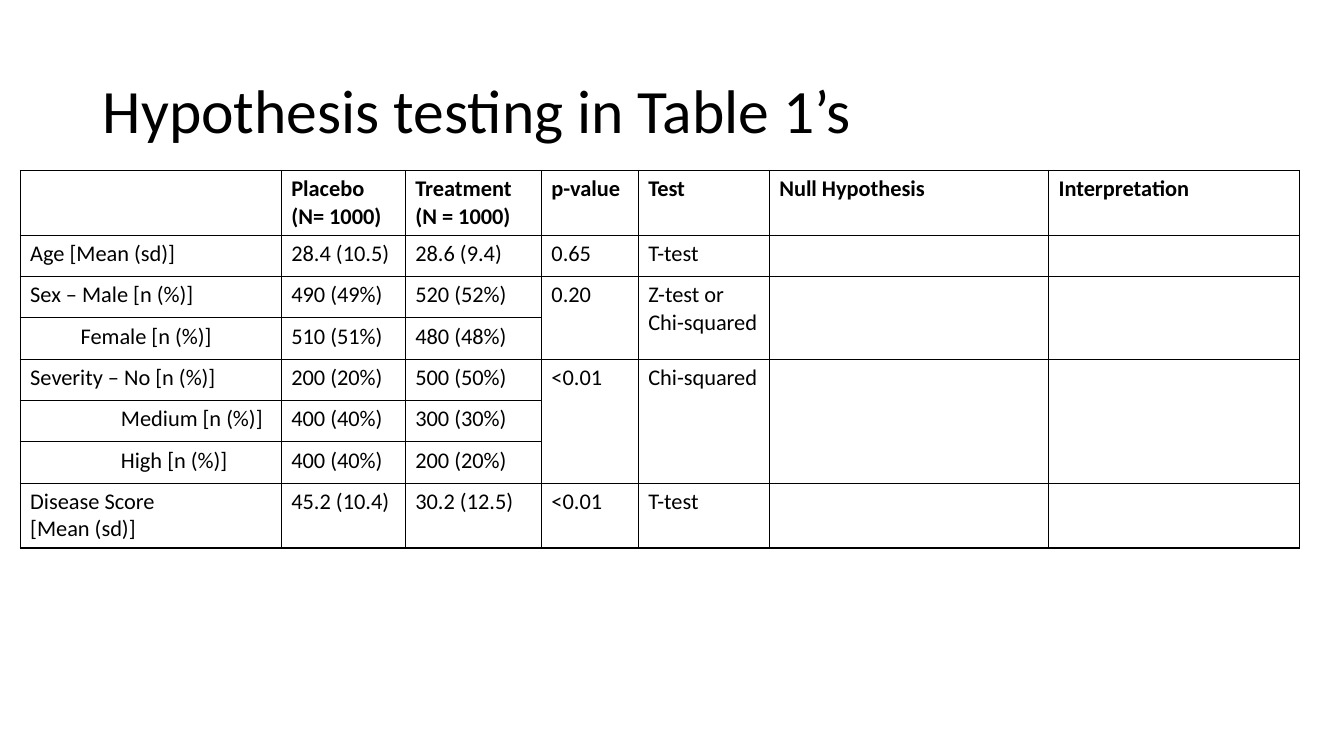
import lxml.etree
import pptx
import pptx.dml.color
import pptx.enum.text
import pptx.oxml.ns
import pptx.util

Inches = pptx.util.Inches
COLORS = {"ink": "000000", "rule": "000000"}
COLUMN_WIDTHS = [2.59, 1.23, 1.35, 0.96, 1.3, 2.77, 2.49]
ROW_HEIGHT = 0.41
BASELINE_ROWS = [
    ["", "Placebo (N= 1000)", "Treatment (N = 1000)", "p-value", "Test",
     "Null Hypothesis", "Interpretation"],
    ["Age [Mean (sd)]", "28.4 (10.5)", "28.6 (9.4)", "0.65", "T-test"],
    ["Sex – Male [n (%)]", "490 (49%)", "520 (52%)", "0.20", "Z-test or\nChi-squared"],
    ["Female [n (%)]", "510 (51%)", "480 (48%)"],
    ["Severity – No [n (%)]", "200 (20%)", "500 (50%)", "<0.01", "Chi-squared"],
    ["Medium [n (%)]", "400 (40%)", "300 (30%)"],
    ["High [n (%)]", "400 (40%)", "200 (20%)"],
    ["Disease Score\n[Mean (sd)]", "45.2 (10.4)", "30.2 (12.5)", "<0.01", "T-test"],
]
LEVEL_INDENTS = {3: 0.5, 5: 0.9, 6: 0.9}
VARIABLE_SPANS = [(2, 3), (4, 6)]
FIRST_SHARED_COLUMN = 3


class SlideBuilder:
    """Holds the text style and the current slide, and adds its elements."""

    def __init__(self, slide, font_name):
        self.slide = slide
        self.font_name = font_name

    def format_paragraph(self, paragraph, size, bold=False):
        """Applies the shared font to one paragraph."""
        values = {"name": self.font_name, "size": pptx.util.Pt(size), "bold": bold}
        for attribute, value in values.items():
            setattr(paragraph.font, attribute, value)
        for run in paragraph.runs:
            for attribute, value in values.items():
                setattr(run.font, attribute, value)
            run.font.color.rgb = pptx.dml.color.RGBColor.from_string(COLORS["ink"])

    def title(self, text, left, top, width, height):
        """Places and formats the title placeholder."""
        heading = self.slide.shapes.title
        box = {"left": left, "top": top, "width": width, "height": height}
        for attribute, value in box.items():
            setattr(heading, attribute, Inches(value))
        frame = heading.text_frame
        frame.text = text
        frame.auto_size = pptx.enum.text.MSO_AUTO_SIZE.NONE
        frame.vertical_anchor = pptx.enum.text.MSO_ANCHOR.MIDDLE
        paragraph = frame.paragraphs[0]
        paragraph.alignment = pptx.enum.text.PP_ALIGN.LEFT
        paragraph.line_spacing = 0.9
        self.format_paragraph(paragraph, 44)

    def border(self, cell, width):
        """Draws a solid rule on all four sides of a cell."""
        properties = cell._tc.get_or_add_tcPr()
        qn = pptx.oxml.ns.qn
        for position, side in enumerate(("a:lnL", "a:lnR", "a:lnT", "a:lnB")):
            rule = lxml.etree.Element(qn(side), w=str(pptx.util.Pt(width)))
            fill = lxml.etree.SubElement(rule, qn("a:solidFill"))
            lxml.etree.SubElement(fill, qn("a:srgbClr"), val=COLORS["rule"])
            properties.insert(position, rule)

    def table(self, rows, left, top, height):
        """Adds the ruled table with merged result cells."""
        frame = self.slide.shapes.add_table(
            len(rows), len(COLUMN_WIDTHS), Inches(left), Inches(top),
            Inches(sum(COLUMN_WIDTHS)), Inches(height))
        baseline = frame.table
        baseline.horz_banding = False
        for column, width in zip(baseline.columns, COLUMN_WIDTHS):
            column.width = Inches(width)
        for row_index, texts in enumerate(rows):
            baseline.rows[row_index].height = Inches(ROW_HEIGHT)
            for column_index in range(len(COLUMN_WIDTHS)):
                cell = baseline.cell(row_index, column_index)
                cell.fill.background()
                self.border(cell, 1)
                if column_index < len(texts):
                    cell.text = texts[column_index]
                for paragraph in cell.text_frame.paragraphs:
                    self.format_paragraph(paragraph, 16, bold=row_index == 0)
        for row_index, indent in LEVEL_INDENTS.items():
            baseline.cell(row_index, 0).margin_left = Inches(0.1 + indent)
        for first, last in VARIABLE_SPANS:
            for column_index in range(FIRST_SHARED_COLUMN, len(COLUMN_WIDTHS)):
                baseline.cell(first, column_index).merge(baseline.cell(last, column_index))
        frame.height = Inches(height)


def main():
    """Builds and saves the slide."""
    presentation = pptx.Presentation()
    presentation.slide_width = Inches(13.33)
    presentation.slide_height = Inches(7.5)
    slide = presentation.slides.add_slide(presentation.slide_layouts[5])
    builder = SlideBuilder(slide, "Calibri")
    builder.title("Hypothesis testing in Table 1’s", 0.92, 0.4, 11.5, 1.45)
    builder.table(BASELINE_ROWS, 0.2, 1.69, 3.7)
    presentation.save("out.pptx")


if __name__ == "__main__":
    main()
